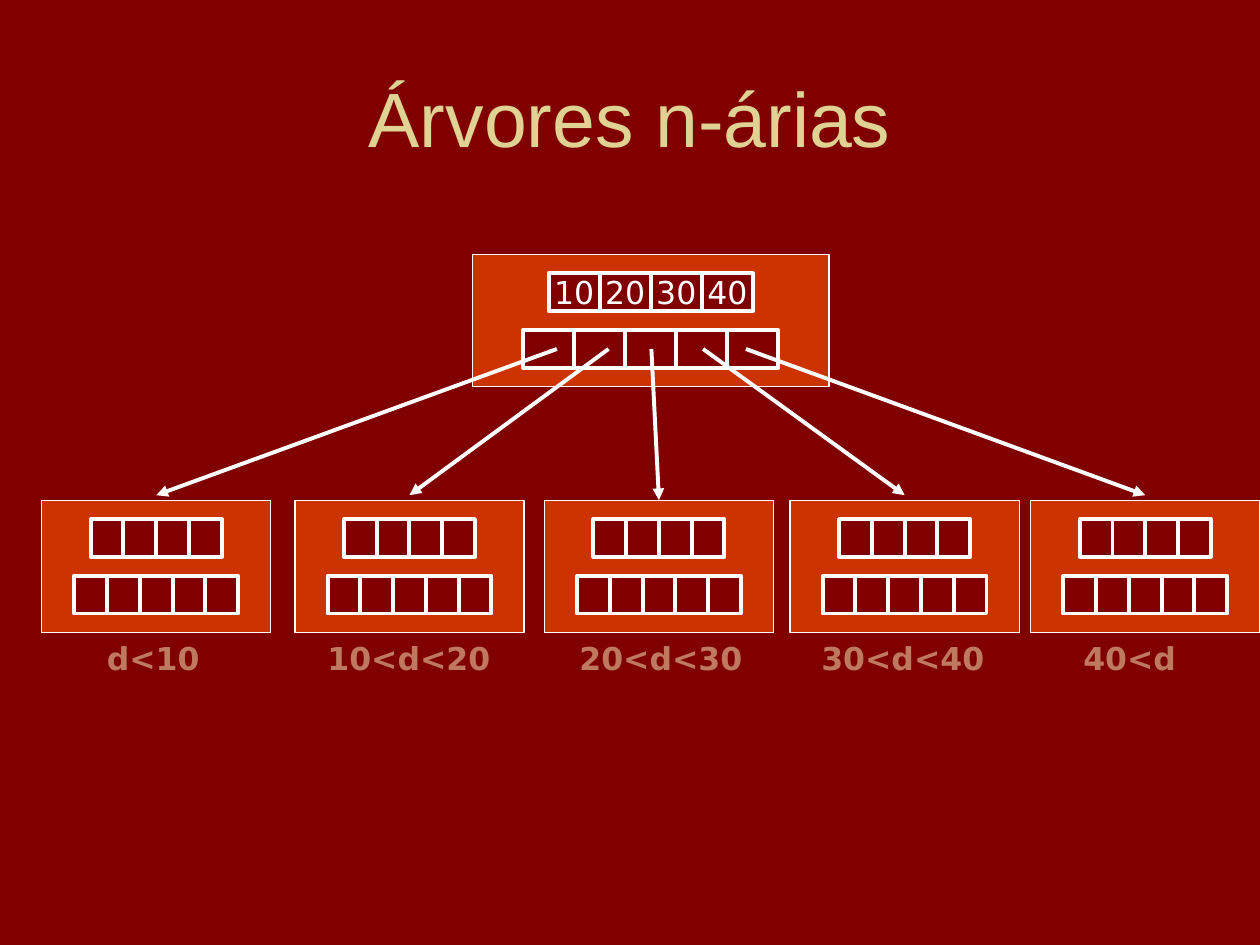
from lxml.etree import SubElement
from pptx import Presentation
from pptx.dml.color import RGBColor
from pptx.enum.shapes import MSO_CONNECTOR, MSO_SHAPE
from pptx.enum.text import MSO_ANCHOR, MSO_AUTO_SIZE, PP_ALIGN
from pptx.oxml.ns import qn
from pptx.util import Inches, Pt

COLOURS = {
    "background": "800000",
    "node": "CC3300",
    "line": "FFFFFF",
    "title": "DFD293",
    "label": "BE7960",
}
NODE_HEIGHT = 1.05
CELL_HEIGHT = 0.3
KEYS_OFFSET = 0.15
POINTERS_OFFSET = 0.6
CHILD_TOP = 3.97
CHILD_WIDTH = 1.82

# Label, node left, label left, label width, arrow start x
CHILDREN = [
    ("d<10", 0.33, 0.75, 1, 4.42),
    ("10<d<20", 2.34, 2.5, 1.58, 4.83),
    ("20<d<30", 4.32, 4.5, 1.58, 5.17),
    ("30<d<40", 6.27, 6.42, 1.58, 5.58),
    ("40<d", 8.18, 8.5, 1, 5.92),
]


def colour(name):
    return RGBColor.from_string(COLOURS[name])


def style_text(para, font_name, size, colour_name, bold=False):
    para.font.name = font_name
    para.font.size = Pt(size)
    para.font.bold = bold
    para.font.color.rgb = colour(colour_name)


def add_title(page, text, left, top, width, height):
    title = page.shapes.title
    title.left, title.top = Inches(left), Inches(top)
    title.width, title.height = Inches(width), Inches(height)
    title.text_frame.text = text
    title.text_frame.vertical_anchor = MSO_ANCHOR.MIDDLE
    para = title.text_frame.paragraphs[0]
    para.alignment = PP_ALIGN.CENTER
    style_text(para, "Arial", 44, "title")


def add_box(group, left, top, width, height, fill, line_width):
    box = group.shapes.add_shape(
        MSO_SHAPE.RECTANGLE, Inches(left), Inches(top), Inches(width), Inches(height)
    )
    box.shadow.inherit = False
    box.fill.solid()
    box.fill.fore_color.rgb = colour(fill)
    box.line.color.rgb = colour("line")
    box.line.width = Pt(line_width)
    return box


def add_cell_row(group, centre, top, cell_width, texts):
    """Draw one cell per text, centred as a row."""
    left = centre - len(texts) * cell_width / 2
    for index, text in enumerate(texts):
        cell = add_box(group, left + index * cell_width, top,
                       cell_width, CELL_HEIGHT, "background", 2.25)
        if text:
            frame = cell.text_frame
            frame.text = text
            frame.word_wrap = False
            frame.vertical_anchor = MSO_ANCHOR.MIDDLE
            para = frame.paragraphs[0]
            para.alignment = PP_ALIGN.CENTER
            style_text(para, "DejaVu Sans", 18, "line")


def add_node(page, left, top, width, cell_width, keys):
    """Draw a tree node: its keys above one more pointer cell."""
    group = page.shapes.add_group_shape()
    frame = add_box(group, left, top, width, NODE_HEIGHT, "node", 0.75)
    centre = left + width / 2
    add_cell_row(group, centre, top + POINTERS_OFFSET, cell_width, [""] * (len(keys) + 1))
    add_cell_row(group, centre, top + KEYS_OFFSET, cell_width, keys)
    return frame


def add_arrow(page, start_x, start_y, end_x, end_y):
    arrow = page.shapes.add_connector(
        MSO_CONNECTOR.STRAIGHT,
        Inches(start_x), Inches(start_y), Inches(end_x), Inches(end_y),
    )
    arrow.line.color.rgb = colour("line")
    arrow.line.width = Pt(2.25)
    SubElement(arrow.line._get_or_add_ln(), qn("a:tailEnd"), type="triangle")
    SubElement(arrow._element.spPr, qn("a:effectLst"))
    return arrow


def add_label(page, text, left, top, width, height):
    label = page.shapes.add_textbox(Inches(left), Inches(top), Inches(width), Inches(height))
    frame = label.text_frame
    frame.text = text
    frame.word_wrap = True
    frame.auto_size = MSO_AUTO_SIZE.SHAPE_TO_FIT_TEXT
    style_text(frame.paragraphs[0], "DejaVu Sans", 18, "label", bold=True)


def add_tree(page, root_left, root_top):
    add_node(page, root_left, root_top, 2.83, 0.405, ["10", "20", "30", "40"])
    nodes = [add_node(page, left, CHILD_TOP, CHILD_WIDTH, 0.26, [""] * 4)
             for _, left, *_ in CHILDREN]
    middle = len(CHILDREN) // 2
    arrow_top = root_top + POINTERS_OFFSET + CELL_HEIGHT / 2
    for index, (_, left, _, _, start_x) in enumerate(CHILDREN):
        arrow = add_arrow(page, start_x, arrow_top,
                          left + CHILD_WIDTH / 2, CHILD_TOP - 0.04)
        if index == middle:
            arrow.end_connect(nodes[index], 0)
    for text, _, label_left, label_width, _ in CHILDREN:
        add_label(page, text, label_left, CHILD_TOP + NODE_HEIGHT, label_width, 0.4)


def main():
    deck = Presentation()
    deck.slide_width, deck.slide_height = Inches(10), Inches(7.5)
    page = deck.slides.add_slide(deck.slide_layouts[5])
    page.background.fill.solid()
    page.background.fill.fore_color.rgb = colour("background")
    add_title(page, "Árvores n-árias", 0.5, 0.3, 9, 1.25)
    add_tree(page, 3.75, 2.02)
    deck.save("out.pptx")


if __name__ == "__main__":
    main()
